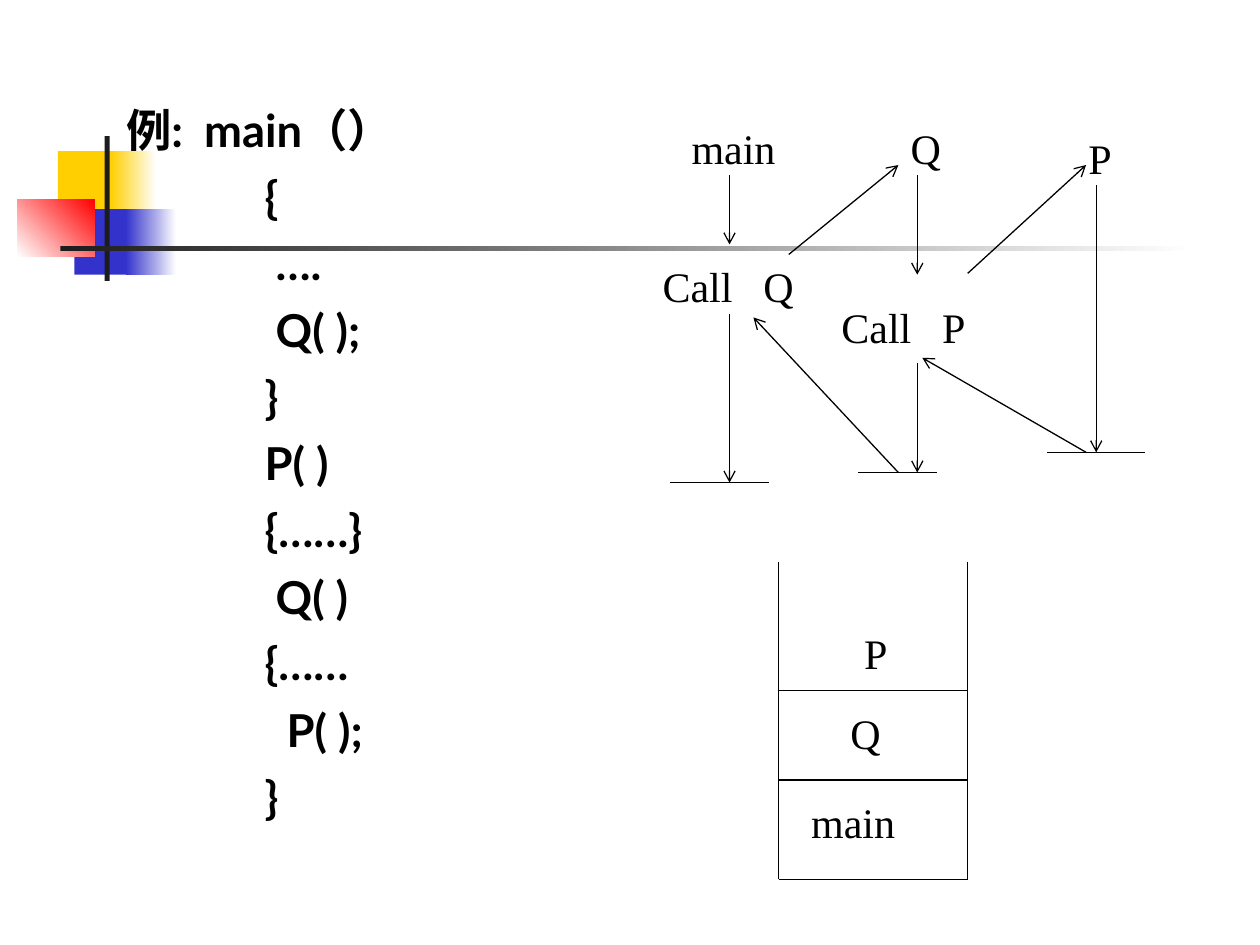
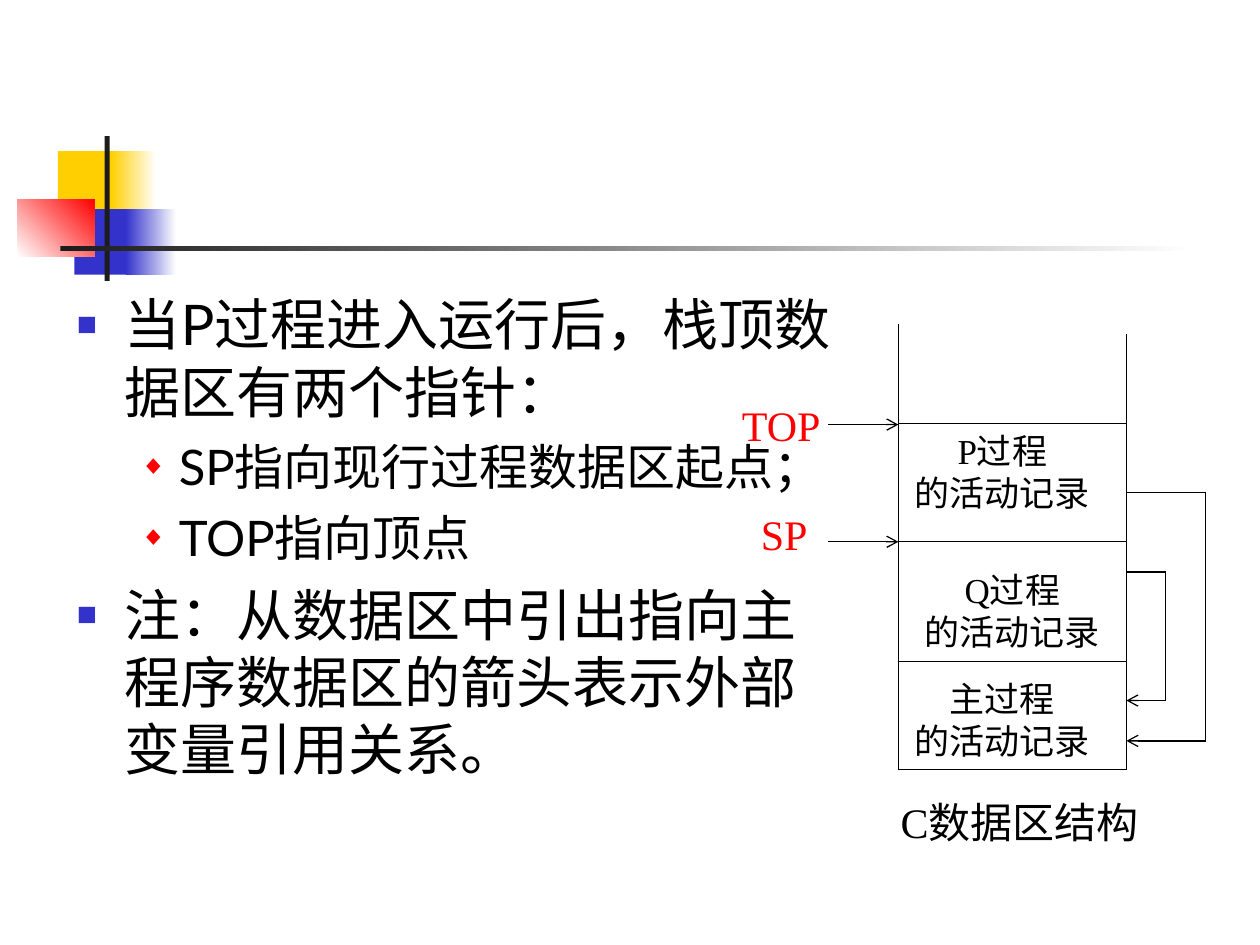
from dataclasses import dataclass
from typing import NamedTuple, Optional

from lxml import etree
from pptx import Presentation
from pptx import util as u
from pptx.dml import color as c
from pptx.enum import shapes as s, text as t
from pptx.oxml import ns

PX = 9144  # EMU per px, 100 px to the inch


@dataclass(frozen=True)
class Theme:
    ink: str = "000000"
    bar: str = "1C1C1C"
    gold: str = "FFCF01"
    blue: str = "3333CC"
    red: str = "FF0000"
    white: str = "FFFFFF"
    body: str = "Lato"
    label: str = "Times New Roman"
    code: float = 25.9
    list1: int = 32
    list2: int = 28
    tag: int = 24
    cell: int = 20
    line: float = 0.75


T = Theme()


class Box(NamedTuple):
    x: int
    y: int
    w: int
    h: int


class Block(NamedTuple):
    box: Box
    hue: str
    end: Optional[str] = None
    turn: int = 0


class Tag(NamedTuple):
    text: str
    box: Box
    hue: str = T.ink
    size: int = T.tag
    mid: bool = False
    tab: int = 0


class Line(NamedTuple):
    x1: int
    y1: int
    x2: int
    y2: int
    head: bool = False


class Style(NamedTuple):
    level: int
    left: int
    hang: int
    gap: int
    size: float
    bold: bool = False
    mark: str = ""
    hue: str = T.ink
    scale: int = 100
    wide: int = 0  # extra width of the first space, in 1/100 pt


# Motif shared by both slides
MOTIF = [
    Block(Box(46, 120, 48, 52), T.gold),
    Block(Box(88, 120, 36, 52), T.gold, T.white),
    Block(Box(59, 166, 46, 52), T.blue),
    Block(Box(100, 166, 40, 52), T.blue, T.white),
    Block(Box(14, 158, 61, 46), T.white, T.red, 45),
    Block(Box(83, 108, 4, 115), T.bar),
    Block(Box(48, 195, 900, 4), T.bar, T.white),
]

# Paragraph styles
HEAD = Style(0, 0, 0, 7, T.code, True, wide=585)
CODE = Style(2, 135, -25, 7, T.code, True)
ITEM = Style(0, 38, -38, 8, T.list1, mark="■", hue=T.blue, scale=60)
SUB = Style(1, 81, -31, 7, T.list2, mark="◆", hue=T.red, scale=55)


def rgb(hue: str) -> c.RGBColor:
    return c.RGBColor.from_string(hue)


def emu(box: Box) -> list[int]:
    return [n * PX for n in box]


def node(up, name: str, **attrs):
    part = etree.SubElement(up, ns.qn(name))
    for key, val in attrs.items():
        part.set(key, str(val))
    return part


def add_tab(para, at: int) -> None:
    stops = node(para._p.get_or_add_pPr(), "a:tabLst")
    node(stops, "a:tab", pos=at * PX, algn="l")


def widen(para, extra: int) -> None:
    """Put the first space in a run of its own and widen it."""
    first = para.runs[0]
    head, gap, tail = first.text.partition(" ")
    first.text = head
    space, rest = para.add_run(), para.add_run()
    space.text, rest.text = gap, tail
    space._r.get_or_add_rPr().set("spc", str(extra))


def ink(para, face: str, size: float, hue: str, bold: bool = False) -> None:
    for run in para.runs:
        run.font.name = face
        run.font.size = u.Pt(size)
        run.font.bold = bold
        run.font.color.rgb = rgb(hue)


def draw_block(slide, item: Block):
    rect = slide.shapes.add_shape(s.MSO_SHAPE.RECTANGLE, *emu(item.box))
    rect.shadow.inherit = False
    rect.line.fill.background()
    if item.end:
        rect.fill.gradient()
        rect.fill.gradient_angle = item.turn
        for stop, hue in zip(rect.fill.gradient_stops, (item.hue, item.end)):
            stop.color.rgb = rgb(hue)
    else:
        rect.fill.solid()
        rect.fill.fore_color.rgb = rgb(item.hue)
    return rect


def set_motif(master, slide) -> None:
    """Draw the motif, then place it behind everything on the master."""
    for i, item in enumerate(MOTIF):
        part = draw_block(slide, item).element
        part.nvSpPr.cNvPr.set("id", str(100 + i))
        master.shapes.element.insert(2 + i, part)


def draw_tag(slide, tag: Tag) -> None:
    frame = slide.shapes.add_textbox(*emu(tag.box)).text_frame
    frame.word_wrap = True
    frame.text = tag.text
    for para in frame.paragraphs:
        if tag.tab:
            add_tab(para, tag.tab)
        if tag.mid:
            para.alignment = t.PP_ALIGN.CENTER
        ink(para, T.label, tag.size, tag.hue)


def draw_line(slide, line: Line) -> None:
    ends = [n * PX for n in line[:4]]
    join = slide.shapes.add_connector(s.MSO_CONNECTOR.STRAIGHT, *ends)
    join.line.width = u.Pt(T.line)
    join.line.color.rgb = rgb(T.ink)
    if line.head:
        node(join.line._get_or_add_ln(), "a:tailEnd", type="arrow")
    node(join.element.spPr, "a:effectLst")


def draw_stack(slide, left: int, right: int, tops: tuple[int, int],
               base: int, rows: list[int]) -> None:
    """Draw an open-topped stack with a rule at each row."""
    for x, top in zip((left, right), tops):
        draw_line(slide, Line(x, top, x, base))
    for y in [*rows, base]:
        draw_line(slide, Line(left, y, right, y))


def draw_loop(slide, side: int, out: int, start: int, end: int) -> None:
    """Link two rows of a stack round its right side."""
    draw_line(slide, Line(side, start, out, start))
    draw_line(slide, Line(out, start, out, end))
    draw_line(slide, Line(out, end, side, end, True))


def fill_body(slide, box: Box, lines: list[tuple[str, Style]]) -> None:
    body = slide.placeholders[1]
    body.left, body.top, body.width, body.height = emu(box)
    frame = body.text_frame
    frame.auto_size = t.MSO_AUTO_SIZE.NONE
    frame.vertical_anchor = t.MSO_ANCHOR.TOP
    for i, (words, style) in enumerate(lines):
        para = frame.add_paragraph() if i else frame.paragraphs[0]
        para.text = words
        para.level = style.level
        props = para._p.get_or_add_pPr()
        props.set("marL", str(style.left * PX))
        props.set("indent", str(style.hang * PX))
        if style.mark:
            node(node(props, "a:buClr"), "a:srgbClr", val=style.hue)
            node(props, "a:buSzPct", val=style.scale * 1000)
            node(props, "a:buChar", char=style.mark)
        else:
            node(props, "a:buNone")
        if style.wide:
            widen(para, style.wide)
        para.space_before = u.Pt(style.gap if i else 0)
        ink(para, T.body, style.size, T.ink, style.bold)


def new_slide(deck):
    slide = deck.slides.add_slide(deck.slide_layouts[1])
    title = slide.shapes.title.element
    title.getparent().remove(title)
    return slide


def build_calls(slide) -> None:
    # Program listing
    code = ["{", " ….", " Q( );", "}", "P( )", "{……}", " Q( )",
            "{……", "  P( );", "}"]
    fill_body(slide, Box(90, 76, 276, 567),
              [("例: main（）", HEAD)] + [(row, CODE) for row in code])

    # Call flow
    for tag in [
        Tag("main", Box(539, 92, 181, 50)),
        Tag("Call\tQ", Box(516, 202, 165, 50), tab=80),
        Tag("Q", Box(713, 92, 126, 50)),
        Tag("Call\tP", Box(658, 234, 150, 50), tab=80),
        Tag("P", Box(854, 100, 110, 50)),
    ]:
        draw_tag(slide, tag)
    for ends in [
        (579, 139, 579, 194), (626, 202, 713, 131), (728, 139, 728, 218),
        (768, 217, 862, 131), (870, 147, 870, 359), (862, 359, 732, 284),
        (728, 288, 728, 375), (713, 375, 598, 252), (579, 249, 579, 383),
    ]:
        draw_line(slide, Line(*ends, head=True))
    for x1, x2, y in [(681, 744, 375), (532, 610, 383), (831, 909, 359)]:
        draw_line(slide, Line(x1, y, x2, y))

    # Call stack
    draw_stack(slide, 618, 768, (446, 446), 698, [548, 619])
    for name, x, y in [("P", 676, 493), ("Q", 665, 557), ("main", 634, 627)]:
        draw_tag(slide, Tag(name, Box(x, y, 110, 50)))


def build_data(slide) -> None:
    # Notes
    fill_body(slide, Box(51, 225, 630, 450), [
        ("当P过程进入运行后，栈顶数据区有两个指针：", ITEM),
        ("SP指向现行过程数据区起点；", SUB),
        ("TOP指向顶点", SUB),
        ("注：从数据区中引出指向主程序数据区的箭头表示外部变量引用关系。", ITEM),
    ])

    # Data area
    left, right = 713, 894
    draw_stack(slide, left, right, (257, 265), 611, [336, 430, 525])
    for name, x, y in [("P", 705, 336), ("Q", 713, 446), ("主", 705, 533)]:
        draw_tag(slide, Tag(f"{name}过程\n的活动记录", Box(x, y, 181, 77),
                            size=T.cell, mid=True))
    draw_tag(slide, Tag("C数据区结构", Box(705, 627, 213, 90)))

    # Pointers
    for name, x, y, w, tip in [("TOP", 579, 312, 87, 337),
                               ("SP", 594, 399, 71, 430)]:
        draw_tag(slide, Tag(name, Box(x, y, w, 50), T.red))
        draw_line(slide, Line(657, tip, left, tip, True))

    # References to outer variables
    draw_loop(slide, right, 957, 391, 588)
    draw_loop(slide, right, 925, 454, 556)


def main() -> None:
    deck = Presentation()
    deck.slide_width, deck.slide_height = 1000 * PX, 750 * PX
    calls, data = new_slide(deck), new_slide(deck)
    set_motif(deck.slide_master, calls)
    build_calls(calls)
    build_data(data)
    deck.save("out.pptx")


if __name__ == "__main__":
    main()
